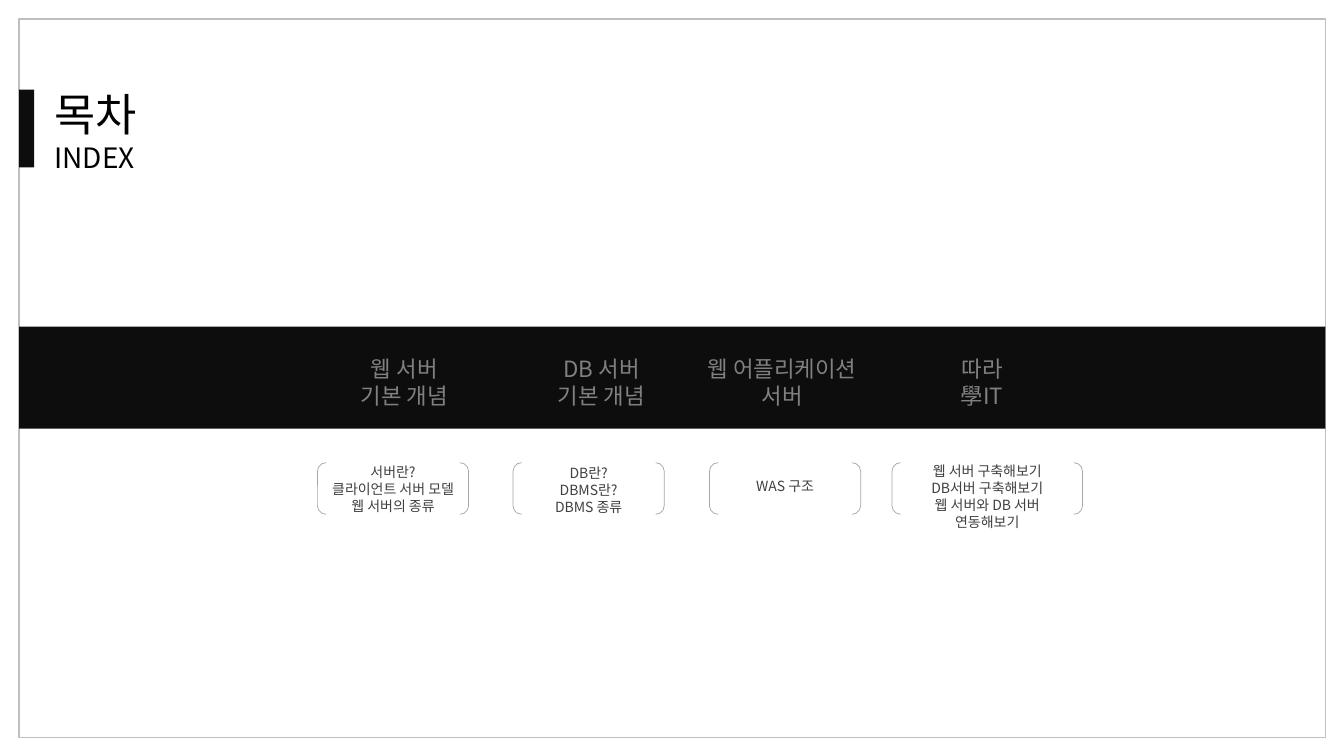
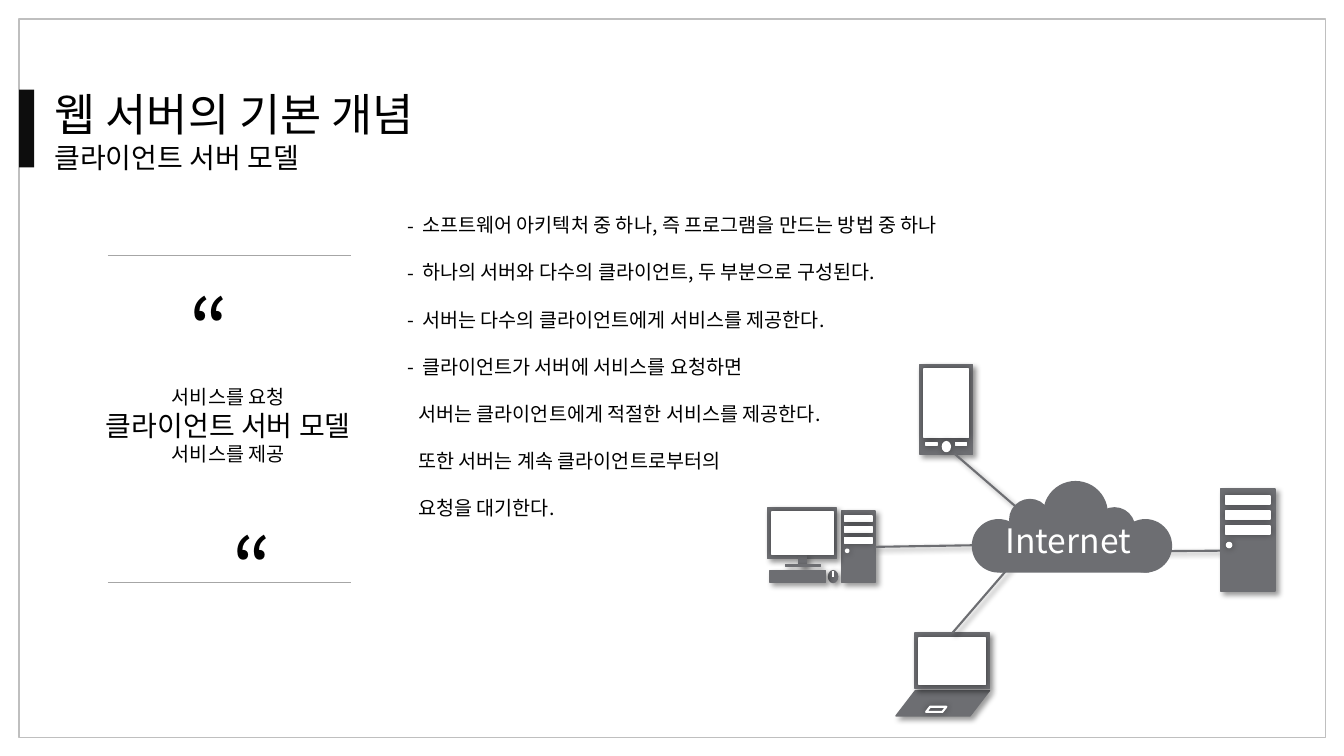
import lxml.etree
import pptx
import pptx.dml.color
import pptx.enum.shapes
import pptx.enum.text
import pptx.oxml.ns
import pptx.util

Cm = pptx.util.Cm
Pt = pptx.util.Pt
RGBColor = pptx.dml.color.RGBColor
SHAPE = pptx.enum.shapes.MSO_SHAPE
ALIGN = pptx.enum.text.PP_ALIGN
ANCHOR = pptx.enum.text.MSO_ANCHOR
qn = pptx.oxml.ns.qn

BLACK = RGBColor(0x00, 0x00, 0x00)
INK = RGBColor(0x0D, 0x0D, 0x0D)
WHITE = RGBColor(0xFF, 0xFF, 0xFF)
DEVICE = RGBColor(0x6D, 0x6E, 0x72)
FRAME = RGBColor(0xBF, 0xBF, 0xBF)
RULE = RGBColor(0xA6, 0xA6, 0xA6)
DETAIL = RGBColor(0x40, 0x40, 0x40)
BAND_TEXT = RGBColor(0x80, 0x80, 0x80)

FONT = "Noto Sans CJK KR"
LEADING = 1.2
DROP_SHADOW = {"blurRad": Pt(4), "dist": Pt(3), "dir": 45 * 60000}
GLOW_SHADOW = {"blurRad": Pt(5), "dist": 0, "dir": 0}

# heading centre, heading, bracket left, bracket width, detail top, details
CHAPTERS = [
    (10.19, ["웹 서버", "기본 개념"], 8, 3.81, 11.53,
     ["서버란?", "클라이언트 서버 모델", "웹 서버의 종류"]),
    (15.16, ["DB 서버", "기본 개념"], 12.93, 3.81, 11.56,
     ["DB란?", "DBMS란?", "DBMS 종류"]),
    (19.71, ["웹 어플리케이션", "서버"], 17.88, 3.81, 11.89, ["WAS 구조"]),
    (24.75, ["따라", "學IT"], 22.48, 4.8, 11.51,
     ["웹 서버 구축해보기", "DB서버 구축해보기", "웹 서버와 DB 서버 연동해보기"]),
]

# text, starts with a dash
EXPLANATION = [
    ("소프트웨어 아키텍처 중 하나, 즉 프로그램을 만드는 방법 중 하나", True),
    ("하나의\u00a0서버와 다수의\u00a0클라이언트, 두 부분으로 구성된다.", True),
    ("서버는 다수의 클라이언트에게 서비스를 제공한다.", True),
    ("클라이언트가 서버에 서비스를 요청하면", True),
    ("서버는 클라이언트에게 적절한 서비스를 제공한다.", False),
    ("또한 서버는 계속 클라이언트로부터의", False),
    ("요청을 대기한다.", False),
]


def apply_format(target, **values):
    for name, value in values.items():
        setattr(target, name, value)


def set_effect(shape, shadow=None):
    """Replace the theme shadow by the given one, or by none."""
    properties = shape.element.spPr
    effects = properties.find(qn("a:effectLst"))
    if effects is None:
        effects = lxml.etree.SubElement(properties, qn("a:effectLst"))
    if shadow:
        outer = lxml.etree.SubElement(effects, qn("a:outerShdw"), algn="ctr", rotWithShape="0")
        for name, value in shadow.items():
            outer.set(name, str(int(value)))
        color = lxml.etree.SubElement(outer, qn("a:srgbClr"), val=str(BLACK))
        lxml.etree.SubElement(color, qn("a:alpha"), val="40000")


def add_figure(shapes, kind, place, fill=None, line=None, width=1, shadow=None, slant=None):
    figure = shapes.add_shape(kind, *map(Cm, place))
    figure.shadow.inherit = False
    if slant is not None:
        figure.adjustments[0] = slant
    if fill is None:
        figure.fill.background()
    else:
        figure.fill.solid()
        figure.fill.fore_color.rgb = fill
    if line is None:
        figure.line.fill.background()
    else:
        figure.line.color.rgb = line
        figure.line.width = Pt(width)
    set_effect(figure, shadow)
    return figure


def add_body(shapes, place, kind=SHAPE.RECTANGLE, **options):
    """Dark part of a device."""
    return add_figure(shapes, kind, place, DEVICE, DEVICE, shadow=DROP_SHADOW, **options)


def add_panel(shapes, place, kind=SHAPE.RECTANGLE):
    """White part of a device."""
    return add_figure(shapes, kind, place, WHITE, WHITE, shadow=GLOW_SHADOW)


def add_slots(shapes, place, pitch):
    left, top, width, height = place
    for row in range(3):
        add_panel(shapes, (left, top + row * pitch, width, height))


def add_line(shapes, start, end, color, width, shadow=None):
    line = shapes.add_connector(pptx.enum.shapes.MSO_CONNECTOR.STRAIGHT, *map(Cm, start + end))
    line.line.color.rgb = color
    line.line.width = Pt(width)
    set_effect(line, shadow)
    return line


def add_text(shapes, place, lines, color=BLACK, align=ALIGN.LEFT, anchor=ANCHOR.TOP):
    """Add a text box; lines are pairs of text and point size."""
    box = shapes.add_textbox(*map(Cm, place))
    frame = box.text_frame
    # Exact leading lifts the first baseline, so the top inset grows with the size.
    apply_format(frame, word_wrap=True, vertical_anchor=anchor,
                 margin_top=Cm(0.13) + Pt(0.07 * lines[0][1]))
    for index, (text, size) in enumerate(lines):
        para = frame.paragraphs[0] if index == 0 else frame.add_paragraph()
        apply_format(para, alignment=align, line_spacing=Pt(LEADING * size))
        span = para.add_run()
        span.text = text
        apply_format(span.font, name=FONT, size=Pt(size))
        span.font.color.rgb = color
        lxml.etree.SubElement(span.font._element, qn("a:ea"), typeface=FONT)
    return box


def add_page(deck, title, subtitle):
    page = deck.slides.add_slide(deck.slide_layouts[6])
    add_figure(page.shapes, SHAPE.RECTANGLE, (0.48, 0.48, 32.92, 18.11), line=FRAME)
    add_figure(page.shapes, SHAPE.RECTANGLE, (0.48, 2.26, 0.38, 1.96), INK)
    add_text(page.shapes, (1.12, 1.98, 13.5, 2.49), [(title, 32), (subtitle, 20)])
    return page


def add_group(page):
    return page.shapes.add_group_shape().shapes


def add_chapter(page, center, heading, left, width, top, details):
    add_text(page.shapes, (center - 2.85, 8.79, 5.7, 1.63),
             [(text, 16) for text in heading], BAND_TEXT, ALIGN.CENTER)
    shapes = add_group(page)
    add_figure(shapes, SHAPE.DOUBLE_BRACKET, (left, 11.66, width, 1.3), line=RULE, width=0.5)
    add_text(shapes, (left + width / 2 - 2.2, top, 4.4, 1.95),
             [(text, 10) for text in details], DETAIL, ALIGN.CENTER)


def add_quote(page):
    shapes = add_group(page)
    for top in (6.43, 14.68):
        add_line(shapes, (2.72, top), (8.84, top), RULE, 0.75)
    for left, top in ((3.27, 6.71), (4.36, 12.75)):
        add_text(shapes, (left, top, 4, 2.82), [("“", 60)], align=ALIGN.CENTER)
    add_text(shapes, (1.73, 9.53, 8.05, 2.31),
             [("서비스를 요청", 14), ("클라이언트 서버 모델", 20), ("서비스를 제공", 14)],
             align=ALIGN.CENTER)


def add_explanation(page):
    box = add_text(page.shapes, (9.91, 5.21, 22.86, 8.3),
                   [(text, 14) for text, _ in EXPLANATION])
    for index, (para, (_, dashed)) in enumerate(zip(box.text_frame.paragraphs, EXPLANATION)):
        if index:
            para.space_before = Pt(LEADING * 14)
        properties = para._p.get_or_add_pPr()
        properties.set("marL", str(Cm(0.48 if dashed else 0.38)))
        properties.set("indent", str(Cm(-0.38 if dashed else 0)))
        if dashed:
            lxml.etree.SubElement(properties, qn("a:buFont"), typeface=FONT)
            lxml.etree.SubElement(properties, qn("a:buChar"), char="-")
        else:
            lxml.etree.SubElement(properties, qn("a:buNone"))


def add_desktop(page):
    shapes = add_group(page)
    mouse = (20.88, 14.38, 0.23, 0.3)
    add_body(shapes, mouse, SHAPE.OVAL)
    tower = add_body(shapes, (21.21, 12.88, 0.84, 1.8))
    for place in ((19.35, 12.8, 1.73, 1.27), (20.14, 14, 0.18, 0.28),
                  (19.79, 14.22, 0.89, 0.05), (19.41, 14.38, 1.4, 0.3)):
        add_body(shapes, place)
    add_panel(shapes, (19.46, 12.9, 1.55, 1.07))
    add_slots(shapes, (21.29, 13, 0.69, 0.15), 0.27)
    add_panel(shapes, (21.31, 13.84, 0.08, 0.08), SHAPE.OVAL)
    add_line(shapes, (21, 14.53), (21, 14.38), WHITE, 1.5, GLOW_SHADOW)
    return tower


def add_laptop(page):
    shapes = add_group(page)
    add_body(shapes, (22.58, 17.4, 2.36, 0.64), SHAPE.PARALLELOGRAM, slant=0.77)
    screen = add_body(shapes, (23.06, 15.95, 1.88, 1.4))
    add_panel(shapes, (23.16, 16.08, 1.68, 1.17))
    add_figure(shapes, SHAPE.PARALLELOGRAM, (23.34, 17.81, 0.51, 0.13), line=WHITE,
               width=1.5, shadow=GLOW_SHADOW, slant=0.77)
    return screen


def add_phone(page):
    shapes = add_group(page)
    add_body(shapes, (23.19, 9.19, 1.32, 2.26))
    add_panel(shapes, (23.29, 9.3, 1.12, 1.73))
    for left in (23.34, 24.08):
        add_panel(shapes, (left, 11.15, 0.28, 0.08))
    add_panel(shapes, (23.75, 11.13, 0.2, 0.25), SHAPE.OVAL)


def add_server(page):
    shapes = add_group(page)
    add_body(shapes, (30.76, 12.32, 1.37, 2.57))
    add_slots(shapes, (30.89, 12.5, 1.12, 0.2), 0.38)
    add_panel(shapes, (30.91, 13.67, 0.13, 0.13), SHAPE.OVAL)


def add_cloud(page):
    shapes = add_group(page)
    for left, top, size in ((24.49, 13.08, 1.35), (28.19, 13.08, 1.35), (25.43, 12.57, 1.05),
                            (26.29, 12.12, 1.63), (27.56, 12.78, 1.05)):
        add_figure(shapes, SHAPE.OVAL, (left, top, size, size), DEVICE)
    add_figure(shapes, SHAPE.RECTANGLE, (25.2, 13.36, 3.76, 1.07), DEVICE)
    add_text(shapes, (25.04, 13.03, 3.76, 1.07), [("Internet", 24)], WHITE,
             ALIGN.CENTER, ANCHOR.MIDDLE)


def add_network(page):
    tower = add_desktop(page)
    screen = add_laptop(page)
    add_phone(page)
    ends = [((22.05, 13.78), (24.49, 13.74)), ((24.05, 11.43), (25.73, 12.88)),
            ((25.45, 14.27), (24, 15.95)), ((29.06, 13.89), (31.5, 13.87))]
    links = [add_line(page.shapes, start, end, DEVICE, 1.5, DROP_SHADOW) for start, end in ends]
    links[0].begin_connect(tower, 3)
    links[2].end_connect(screen, 0)
    add_server(page)
    add_cloud(page)


def main():
    deck = pptx.Presentation()
    apply_format(deck, slide_width=Cm(33.87), slide_height=Cm(19.05))

    index_page = add_page(deck, "목차", "INDEX")
    add_figure(index_page.shapes, SHAPE.RECTANGLE, (0.48, 8.23, 32.92, 2.57), INK)
    for chapter in CHAPTERS:
        add_chapter(index_page, *chapter)

    model_page = add_page(deck, "웹 서버의 기본 개념", "클라이언트 서버 모델")
    add_quote(model_page)
    add_explanation(model_page)
    add_network(model_page)

    deck.save("out.pptx")


if __name__ == "__main__":
    main()
